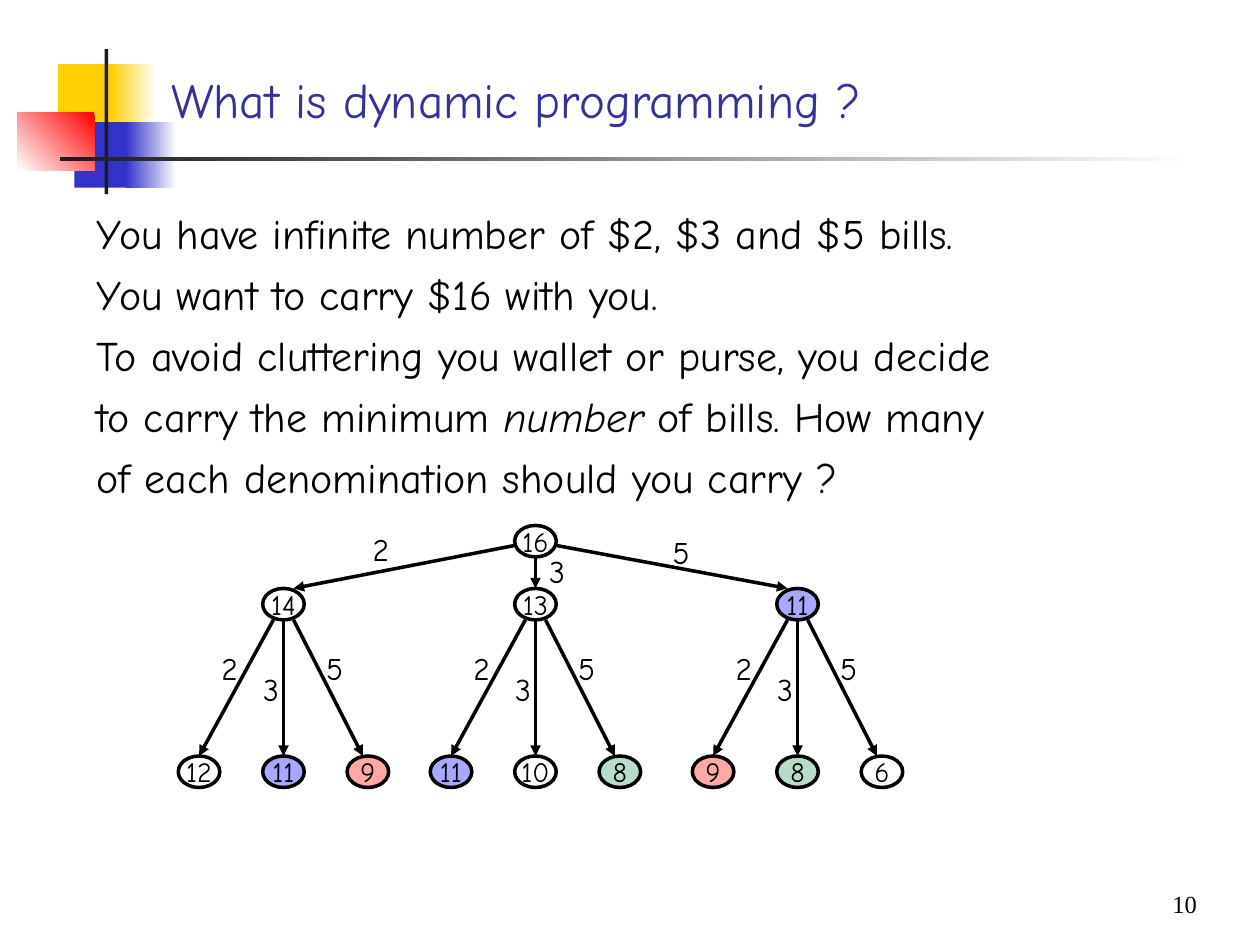
from pptx import Presentation
from pptx.dml.color import RGBColor
from pptx.enum.shapes import MSO_CONNECTOR, MSO_SHAPE
from pptx.enum.text import MSO_ANCHOR, PP_ALIGN
from pptx.oxml.ns import qn
from pptx.oxml.xmlchemy import OxmlElement
from pptx.util import Inches, Pt

RECT, OVAL = MSO_SHAPE.RECTANGLE, MSO_SHAPE.OVAL
STRAIGHT = MSO_CONNECTOR.STRAIGHT
TOP, MIDDLE, BOTTOM = MSO_ANCHOR.TOP, MSO_ANCHOR.MIDDLE, MSO_ANCHOR.BOTTOM
LEFT, CENTER, RIGHT = PP_ALIGN.LEFT, PP_ALIGN.CENTER, PP_ALIGN.RIGHT

BLACK = RGBColor(0x00, 0x00, 0x00)
WHITE = RGBColor(0xFF, 0xFF, 0xFF)
CHARCOAL = RGBColor(0x1C, 0x1C, 0x1C)
YELLOW = RGBColor(0xFF, 0xCF, 0x01)
INDIGO = RGBColor(0x33, 0x33, 0xCC)
TITLE_BLUE = RGBColor(0x33, 0x33, 0x99)
RED = RGBColor(0xFF, 0x00, 0x00)
BLUE = RGBColor(0x00, 0x00, 0xFF)
GREEN = RGBColor(0x33, 0x99, 0x66)

COMIC, TIMES = "Comic Neue", "Times New Roman"
NODE_W, NODE_H = 0.33, 0.25
LEVEL_1, LEVEL_2 = 0.5, 1.83
CHILD_GAP = 0.67
BILLS = ("2", "3", "5")
REPEATED = {"11": BLUE, "9": RED, "8": GREEN}
BODY = [
    [("You have infinite number of $2, $3 and $5 bills.", False)],
    [("You want to carry $16 with you.", False)],
    [("To avoid cluttering you wallet or purse, you decide", False)],
    [("to carry the minimum ", False), ("number", True), (" of bills. How many", False)],
    [("of each denomination should you carry ?", False)],
]


def add_run(p, text, size, color=BLACK, font=COMIC, italic=False):
    """Add one formatted run to a paragraph."""
    r = p.add_run()
    r.text = text
    r.font.size = Pt(size)
    r.font.name = font
    r.font.color.rgb = color
    r.font.italic = italic


def add_text(s, box, lines, size, color=BLACK, font=COMIC, anchor=TOP,
             align=LEFT, before=0, wrap=True):
    """Add a text box whose lines are lists of (text, italic) runs."""
    tf = s.shapes.add_textbox(*map(Inches, box)).text_frame
    tf.word_wrap = wrap
    tf.vertical_anchor = anchor
    for i, line in enumerate(lines):
        p = tf.add_paragraph() if i else tf.paragraphs[0]
        p.alignment = align
        p.space_before = Pt(before)
        for text, italic in line:
            add_run(p, text, size, color, font, italic)
    return tf


def add_block(s, box, stops, angle=180):
    """Add a borderless rectangle with one colour or a two-stop gradient."""
    sp = s.shapes.add_shape(RECT, *map(Inches, box))
    sp.shadow.inherit = False
    sp.line.fill.background()
    if len(stops) == 1:
        sp.fill.solid()
        sp.fill.fore_color.rgb = stops[0]
    else:
        sp.fill.gradient()
        sp.fill.gradient_angle = angle
        for stop, color in zip(sp.fill.gradient_stops, stops):
            stop.color.rgb = color


def add_emblem(s, x, y):
    """Place the overlapping blocks and crossing bars behind the title."""
    add_block(s, (x + 0.32, y + 0.12, 0.48, 0.52), [YELLOW])
    add_block(s, (x + 0.74, y + 0.12, 0.36, 0.52), [WHITE, YELLOW])
    add_block(s, (x + 0.45, y + 0.58, 0.46, 0.52), [INDIGO])
    add_block(s, (x + 0.86, y + 0.58, 0.4, 0.52), [WHITE, INDIGO])
    add_block(s, (x, y + 0.5, 0.61, 0.46), [RED, WHITE], 225)
    add_block(s, (x + 0.69, y, 0.03, 1.15), [CHARCOAL])
    add_block(s, (x + 0.34, y + 0.86, 9, 0.03), [WHITE, CHARCOAL])


def add_node(s, cx, y, text):
    """Add an oval for the remaining amount, tinted when the amount repeats."""
    box = (cx - NODE_W / 2, y, NODE_W, NODE_H)
    sp = s.shapes.add_shape(OVAL, *map(Inches, box))
    sp.shadow.inherit = False
    sp.line.color.rgb = BLACK
    sp.line.width = Pt(2)
    if text in REPEATED:
        sp.fill.solid()
        sp.fill.fore_color.rgb = REPEATED[text]
        alpha = OxmlElement("a:alpha")
        alpha.set("val", "34000")
        sp.fill._xPr.find(qn("a:solidFill"))[0].append(alpha)
    else:
        sp.fill.background()
    tf = sp.text_frame
    tf.word_wrap = False
    tf.vertical_anchor = MIDDLE
    p = tf.paragraphs[0]
    p.alignment = CENTER
    add_run(p, text, 16)


def add_arrow(s, x1, y1, x2, y2):
    """Add a black line with a triangle at its end."""
    c = s.shapes.add_connector(STRAIGHT, *map(Inches, (x1, y1, x2, y2)))
    c.line.color.rgb = BLACK
    c.line.width = Pt(2)
    tail = OxmlElement("a:tailEnd")
    tail.set("type", "triangle")
    sp_pr = c._element.spPr
    sp_pr.find(qn("a:ln")).append(tail)
    sp_pr.append(OxmlElement("a:effectLst"))


def add_label(s, x, y, text):
    """Add the bill value beside a branch."""
    add_text(s, (x, y, 0.33, 0.4), [[(text, False)]], 18, wrap=False)


def add_branches(s, cx, y, children):
    """Place one subtree: a parent's children, arrows and bill labels."""
    child_y = y + LEVEL_2 - LEVEL_1
    for i, child in enumerate(children):
        add_node(s, cx + (i - 1) * CHILD_GAP, child_y, child)
    for start, end in ((-0.08, -0.67), (0, 0), (0.08, 0.63)):
        add_arrow(s, cx + start, y + NODE_H, cx + end, child_y)
    for bill, dx, dy in zip(BILLS, (-0.59, -0.26, 0.24), (0.43, 0.6, 0.43)):
        add_label(s, cx + dx, y + dy, bill)


def add_tree(s, cx, y):
    """Place the tree of remaining amounts below its root."""
    parents = (
        ("14", cx - 2, ("12", "11", "9")),
        ("13", cx, ("11", "10", "8")),
        ("11", cx + 2.08, ("9", "8", "6")),
    )
    add_node(s, cx, y, "16")
    for text, x, children in parents:
        add_node(s, x, y + LEVEL_1, text)
        add_branches(s, x, y + LEVEL_1, children)
    for x1, y1, x2 in ((-0.17, 0.16, -1.92), (0, NODE_H, 0), (0.17, 0.16, 2)):
        add_arrow(s, cx + x1, y + y1, cx + x2, y + LEVEL_1)
    for bill, dx, dy in zip(BILLS, (-1.39, 0.01, 0.99), (-0.01, 0.16, 0.01)):
        add_label(s, cx + dx, y + dy, bill)


def add_page_number(s, box):
    """Place the page number at the right of its box."""
    tf = add_text(s, box, [[("10", False)]], 14, font=TIMES, anchor=MIDDLE, align=RIGHT)
    tf.margin_left = Inches(1.4)
    tf.margin_top = tf.margin_right = tf.margin_bottom = 0


def main():
    """Build the slide and save it."""
    prs = Presentation()
    prs.slide_width, prs.slide_height = Inches(10), Inches(7.5)
    s = prs.slides.add_slide(prs.slide_layouts[6])
    add_emblem(s, 0.14, 0.39)
    add_text(s, (1.26, 0.22, 8.52, 0.85), [[("What is dynamic programming ?", False)]],
             28, TITLE_BLUE, anchor=BOTTOM)
    add_text(s, (0.67, 1.6, 8.5, 5.2), BODY, 24, before=6)
    add_tree(s, 4.25, 4.17)
    add_page_number(s, (7.42, 6.92, 2.08, 0.5))
    prs.save("out.pptx")


if __name__ == "__main__":
    main()
